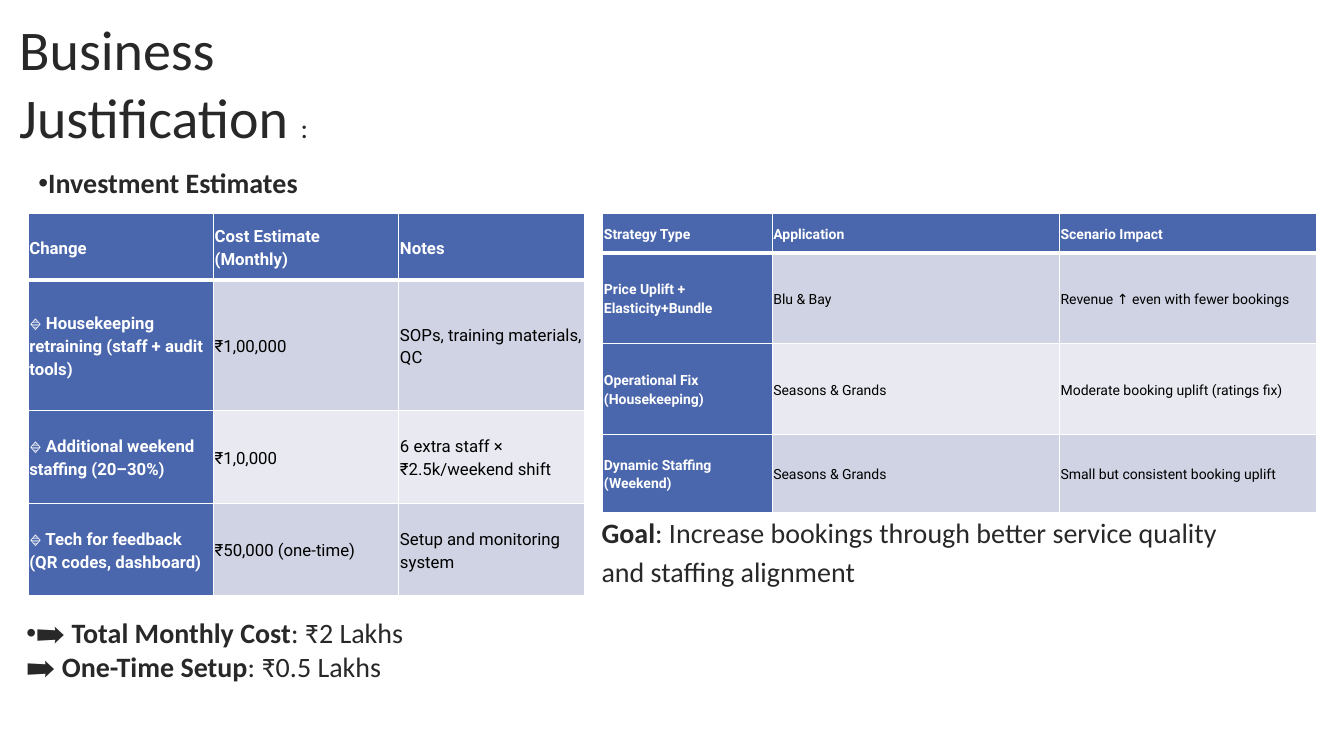
"""Build the business justification slide with its cost and strategy tables."""
from lxml.etree import SubElement
from pptx import Presentation
from pptx.dml.color import RGBColor
from pptx.enum.text import MSO_ANCHOR, MSO_AUTO_SIZE, PP_ALIGN
from pptx.oxml.ns import qn
from pptx.util import Cm, Pt

COLOURS = {
    "text": "282828",
    "header": "4A66AC",
    "odd_row": "D0D3E3",
    "even_row": "E9EAF1",
    "white": "FFFFFF",
    "black": "000000",
}


def style_font(font, name, size, colour, bold=False):
    """Apply typeface, size, colour and weight."""
    font.name = name
    font.size = Pt(size)
    font.bold = bold
    font.color.rgb = RGBColor.from_string(COLOURS[colour])


def fill_frame(shape, box, anchor, lines):
    """Place a text shape and write lines of (text, size, bold) pieces."""
    shape.left, shape.top, shape.width, shape.height = [Cm(v) for v in box]
    frame = shape.text_frame
    frame.word_wrap = True
    frame.auto_size = MSO_AUTO_SIZE.SHAPE_TO_FIT_TEXT
    frame.vertical_anchor = anchor
    paragraph = frame.paragraphs[0]
    paragraph.alignment = PP_ALIGN.LEFT
    paragraph.space_before = Pt(0)
    for number, pieces in enumerate(lines):
        if number:
            paragraph.add_line_break()
        for text, size, bold in pieces:
            run = paragraph.add_run()
            run.text = text
            style_font(run.font, "Calibri", size, "text", bold)
    return paragraph


prs = Presentation()
prs.slide_width, prs.slide_height = Cm(33.87), Cm(19.05)
slide = prs.slides.add_slide(prs.slide_layouts[3])
title, heading, totals = slide.placeholders

fill_frame(title, (0.23, 0.25, 10.44, 3.68), MSO_ANCHOR.TOP,
           [[("Business Justification ", 40, False), (":", 20, False)]])

bulleted = [
    fill_frame(heading, (0.71, 4.04, 12.27, 1.12), MSO_ANCHOR.MIDDLE,
               [[("Investment Estimates", 20, True)]]),
    fill_frame(totals, (0.41, 15.39, 17.04, 1.98), MSO_ANCHOR.TOP, [
        [("➡️ ", 20, False), ("Total Monthly Cost", 20, True), (": ₹2 Lakhs", 20, False)],
        [("➡️ ", 20, False), ("One-Time Setup", 20, True), (": ₹0.5 Lakhs", 20, False)],
    ]),
]
for paragraph in bulleted:
    properties = paragraph._p.get_or_add_pPr()
    properties.set("marL", "0")
    properties.set("indent", "0")

cost_rows = [
    ("Change", "Cost Estimate (Monthly)", "Notes"),
    ("🔹 Housekeeping retraining (staff + audit tools)", "₹1,00,000",
     "SOPs, training materials, QC"),
    ("🔹 Additional weekend staffing (20–30%)", "₹1,0,000",
     "6 extra staff × ₹2.5k/weekend shift"),
    ("🔹 Tech for feedback (QR codes, dashboard)", "₹50,000 (one-time)",
     "Setup and monitoring system"),
]
strategy_rows = [
    ("Strategy Type", "Application", "Scenario Impact"),
    ("Price Uplift + Elasticity+Bundle", "Blu & Bay", "Revenue ↑ even with fewer bookings"),
    ("Operational Fix (Housekeeping)", "Seasons & Grands",
     "Moderate booking uplift (ratings fix)"),
    ("Dynamic Staffing (Weekend)", "Seasons & Grands", "Small but consistent booking uplift"),
]
tables = [
    (0.71, cost_rows, (4.67, 4.67, 4.67), (1.68, 3.28, 2.34, 2.34), 12),
    (15.19, strategy_rows, (4.27, 7.24, 6.48), (0.99, 2.29, 2.29, 1.96), 10),
]
for left, rows, widths, heights, size in tables:
    table = slide.shapes.add_table(
        len(rows), len(widths), Cm(left), Cm(5.38), Cm(sum(widths)), Cm(sum(heights))).table
    table.first_col = True
    for column, width in zip(table.columns, widths):
        column.width = Cm(width)
    for r, (texts, height) in enumerate(zip(rows, heights)):
        table.rows[r].height = Cm(height)
        for c, text in enumerate(texts):
            cell = table.cell(r, c)
            is_label = r == 0 or c == 0
            cell.margin_left = cell.margin_right = Cm(0.03)
            cell.margin_top = cell.margin_bottom = Cm(0.03)
            cell.vertical_anchor = MSO_ANCHOR.MIDDLE
            for side in "LRTB":
                thick = (r == 0 and side == "B") or (r == 1 and side == "T")
                border = SubElement(cell._tc.get_or_add_tcPr(), qn(f"a:ln{side}"),
                                    w=str(Pt(3 if thick else 1)))
                SubElement(SubElement(border, qn("a:solidFill")), qn("a:srgbClr"),
                           val=COLOURS["white"])
            cell.fill.solid()
            shade = "header" if is_label else "odd_row" if r % 2 else "even_row"
            cell.fill.fore_color.rgb = RGBColor.from_string(COLOURS[shade])
            cell.text_frame.text = text
            paragraph = cell.text_frame.paragraphs[0]
            paragraph.line_spacing = 1.15
            paragraph.space_after = Pt(8)
            style_font(paragraph.runs[0].font, "Roboto", size,
                       "white" if is_label else "black", is_label)

goal_box = (14.91, 12.75, 17.04, 2.36)
goal = fill_frame(
    slide.shapes.add_textbox(*[Cm(v) for v in goal_box]), goal_box, MSO_ANCHOR.TOP,
    [[("Goal", 20, True),
      (": Increase bookings through better service quality and staffing alignment", 20, False)]])
goal.line_spacing = 1.15
goal.space_after = Pt(8)

prs.save("out.pptx")
